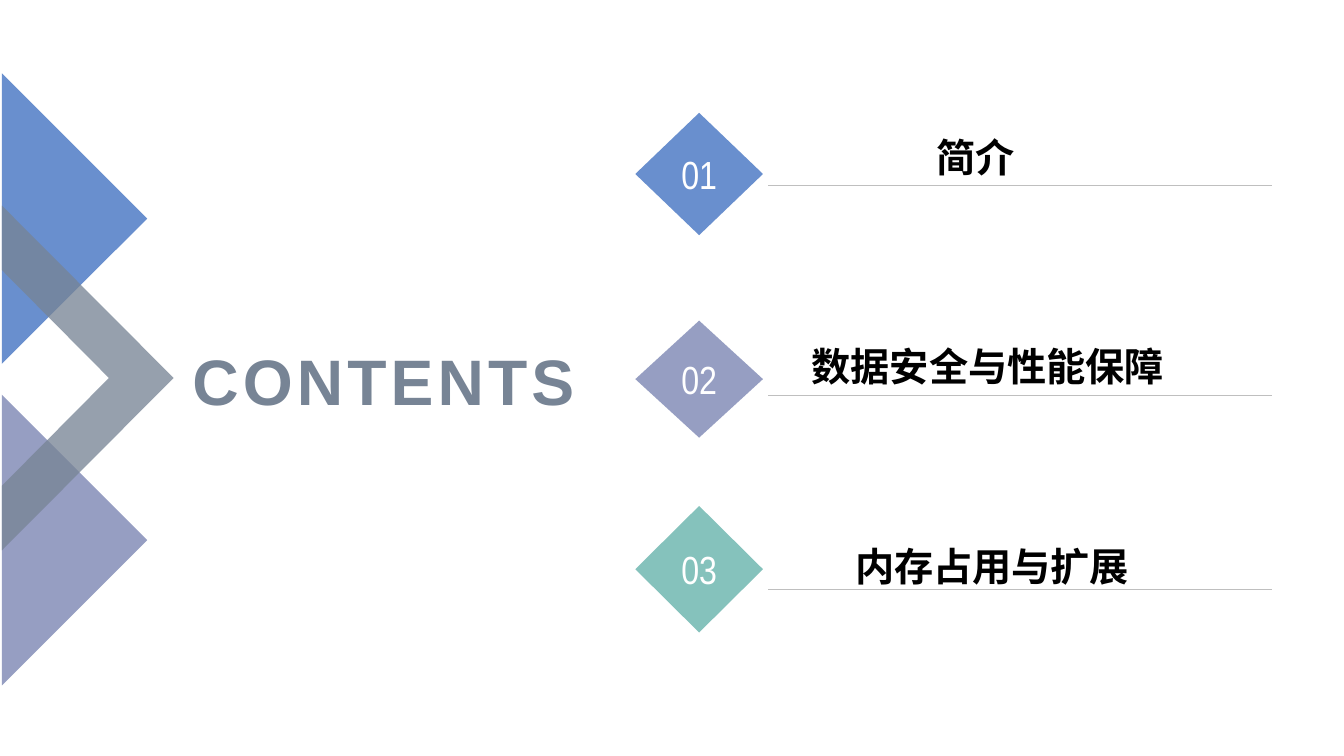
import pptx
import pptx.util
import pptx.dml.color
import pptx.enum.shapes
import pptx.enum.text
import pptx.oxml.ns
import lxml.etree

Pt = pptx.util.Pt
Align = pptx.enum.text.PP_ALIGN
Anchor = pptx.enum.text.MSO_ANCHOR
qn = pptx.oxml.ns.qn

INK = {
    "blue": "698FCE",
    "mauve": "969EC2",
    "teal": "85C2BC",
    "slate": "778495",
    "white": "FFFFFF",
    "black": "000000",
    "rule": "BFBFBF",
}
RGB = {name: pptx.dml.color.RGBColor.from_string(code) for name, code in INK.items()}


def paint(shape, color):
    """Give a shape a flat fill with no outline or shadow."""
    shape.shadow.inherit = False
    shape.fill.solid()
    shape.fill.fore_color.rgb = RGB[color]
    shape.line.fill.background()


def write(shape, text, color, align, frame, font):
    """Put one line of text in a shape, formatted from two dicts."""
    box = shape.text_frame
    for key, value in frame.items():
        setattr(box, key, value)
    line = box.paragraphs[0]
    line.alignment = align
    run = line.add_run()
    run.text = text
    for key, value in font.items():
        setattr(run.font, key, value)
    run.font.color.rgb = RGB[color]
    return run


deck = pptx.Presentation()
deck.slide_width, deck.slide_height = Pt(960), Pt(540)
slide = deck.slides.add_slide(deck.slide_layouts[6])
shapes = slide.shapes

# Arrow shapes along the left edge
edge = 1.4
arrows = [
    ("mauve", [(edge, 282), (105.2, 385.8), (edge, 489.6)]),
    ("blue", [(edge, 52.4), (105.2, 156.1), (edge, 259.8)]),
    ("slate", [(edge, 146.9), (124, 270), (edge, 393.1),
               (edge, 347), (77.8, 270), (edge, 193)]),
]
for color, points in arrows:
    start, *rest = [(Pt(x), Pt(y)) for x, y in points]
    path = shapes.build_freeform(*start, scale=1.0)
    path.add_line_segments(rest, close=True)
    arrow = path.convert_to_shape()
    paint(arrow, color)

# The last arrow, the slate one, lets the others show through
tint = arrow.fill._xPr.find(qn("a:solidFill"))[0]
lxml.etree.SubElement(tint, qn("a:alpha")).set("val", "77000")

# Heading
head = shapes.add_textbox(Pt(123.1), Pt(234.7), Pt(294.5), Pt(72.7))
run = write(head, "CONTENTS", "slate", Align.RIGHT,
            {"word_wrap": True, "vertical_anchor": Anchor.MIDDLE},
            {"name": "Arial", "size": Pt(45.9), "bold": True})
run.font._element.set("spc", "300")

# Entries: number, colour, diamond top and height, text base, indent, rule, title
left = 548.6
items = [
    ("01", "blue", 80.6, 87.4, 132.5, 113, 132.5, "简介"),
    ("02", "mauve", 229, 83.6, 281.5, 24, 282.2, "数据安全与性能保障"),
    ("03", "teal", 361.4, 90.4, 424.8, 55, 420.8, "内存占用与扩展"),
]
for number, color, top, high, base, indent, rule, title in items:
    gem = shapes.add_shape(pptx.enum.shapes.MSO_SHAPE.DIAMOND,
                           Pt(453.8), Pt(top), Pt(91.2), Pt(high))
    paint(gem, color)
    write(gem, number, "white", Align.CENTER,
          {"word_wrap": False, "vertical_anchor": Anchor.MIDDLE},
          {"name": "Arial Narrow", "size": Pt(28)})

    label = shapes.add_textbox(Pt(left), Pt(base - 42.5), Pt(312), Pt(42.5))
    write(label, title, "black", Align.LEFT,
          {"word_wrap": True, "vertical_anchor": Anchor.BOTTOM,
           "margin_left": Pt(7.2 + indent)},
          {"name": "Arial", "size": Pt(28), "bold": True})

    line = shapes.add_connector(pptx.enum.shapes.MSO_CONNECTOR.STRAIGHT,
                                Pt(left), Pt(rule), Pt(left + 360), Pt(rule))
    line.line.color.rgb = RGB["rule"]
    line.line.width = Pt(0.25)
    lxml.etree.SubElement(line._element.spPr, qn("a:effectLst"))

deck.save("out.pptx")
